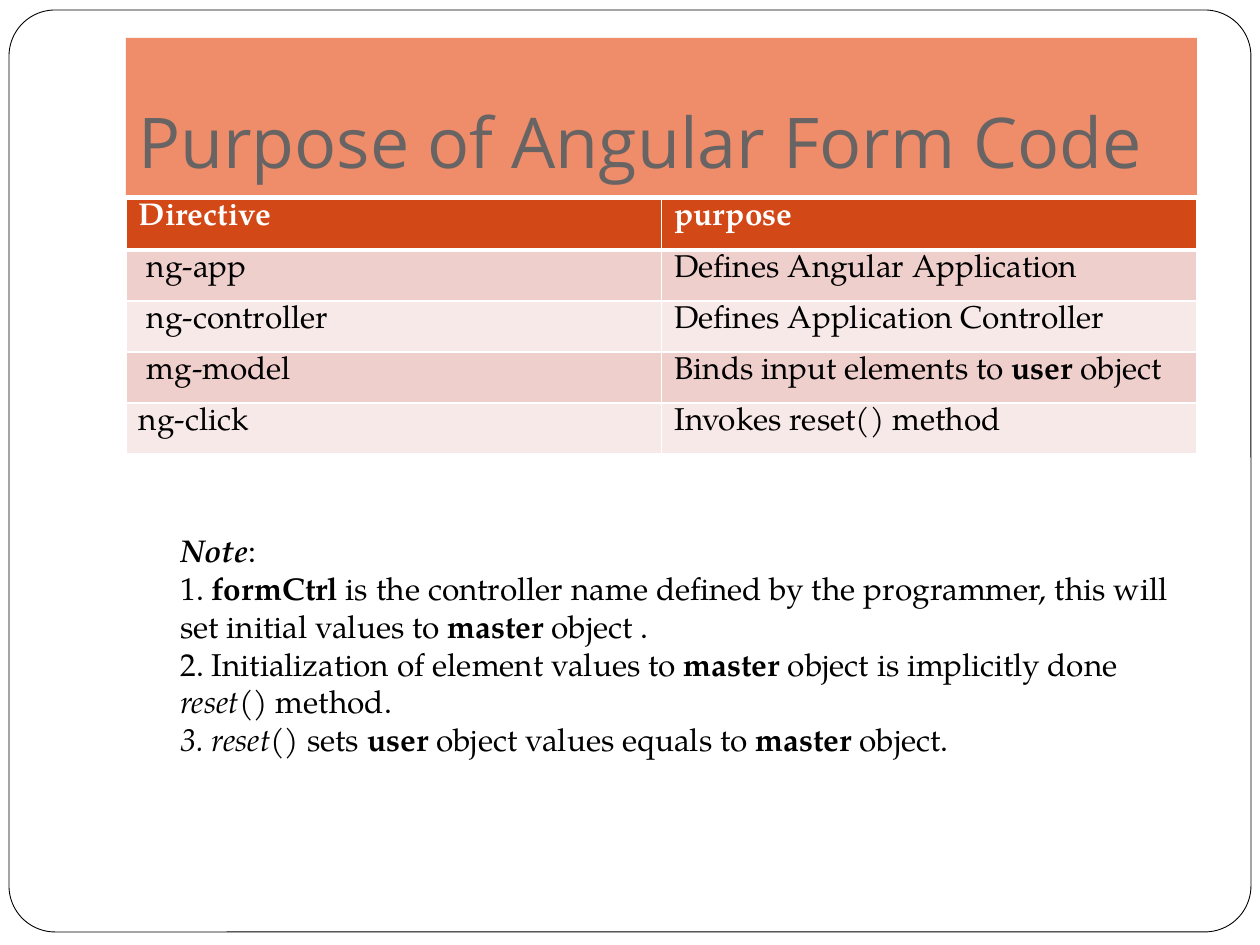
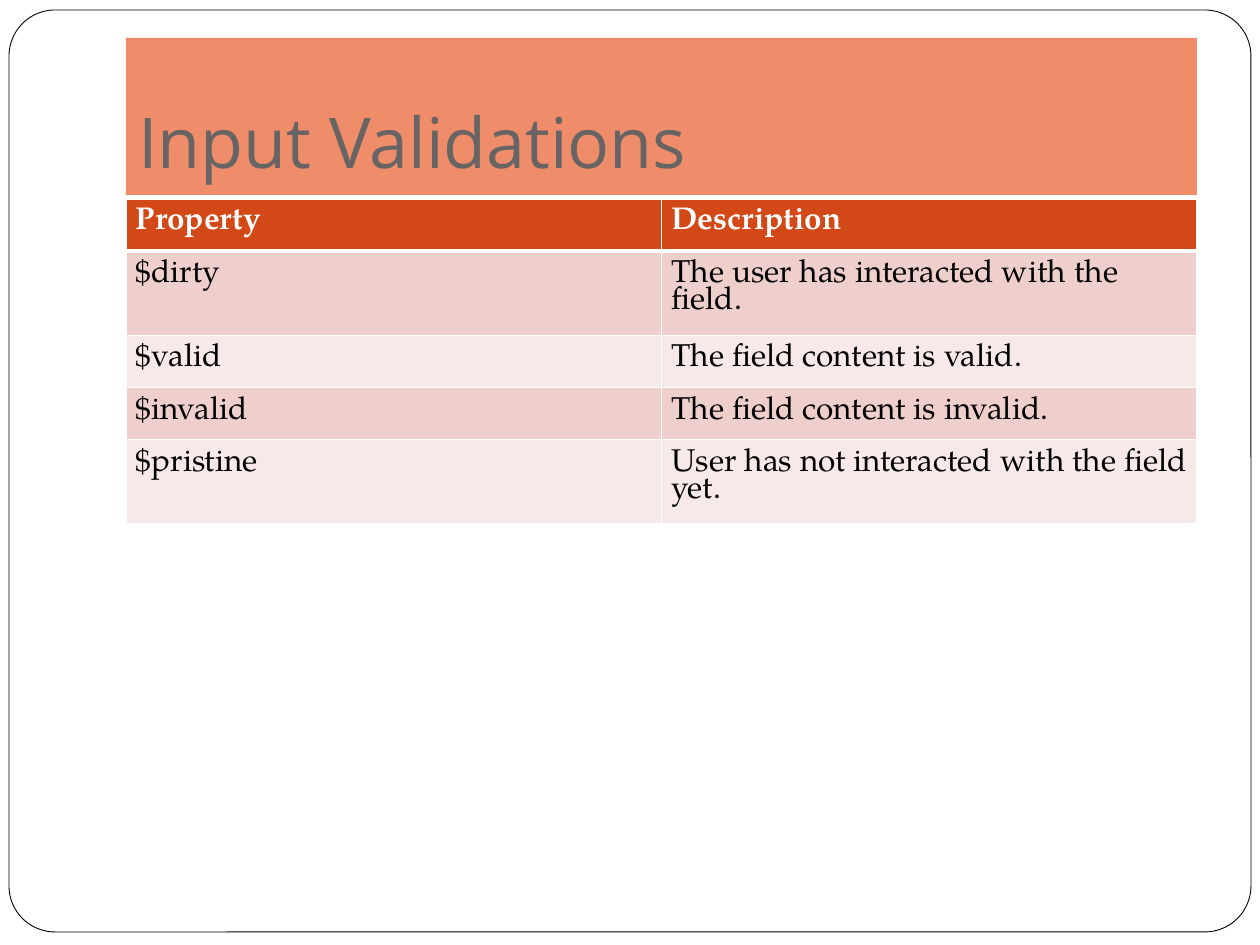
from lxml import etree
from pptx import Presentation
from pptx.dml.color import RGBColor
from pptx.enum.shapes import MSO_SHAPE as SHAPE
from pptx.enum.text import MSO_ANCHOR as ANCHOR, MSO_AUTO_SIZE as AUTO_SIZE, PP_ALIGN as ALIGN
from pptx.oxml.ns import qn
from pptx.util import Pt

# Shared look: lengths in px, 126 px to the inch
PX = 914400 / 126
BODY_FONT, TITLE_FONT = "TeX Gyre Pagella", "Open Sans"
WHITE, BLACK, TITLE_GREY = "FFFFFF", "000000", "696464"
TITLE_BAND, HEADER_FILL = "EF8C6A", "D34817"
BAND_FILLS = ["EFCFCC", "F7E9E8"]
FRAME_BOX = (9, 10, 1242, 922)
TITLE_BOX = (126, 38, 1071, 157)
TABLE_BOX = (126, 199, 1071, 255)
NOTE_BOX = (168, 525, 1018, 204)
ROW_HEIGHT = 51

# Rich text is a list of (text, style), where style holds "b" and/or "i"
SLIDES = [
    {
        "title": "Purpose of Angular Form Code",
        "margins": {"margin_left": 13, "margin_right": 13, "margin_top": 6, "margin_bottom": 6},
        "rows": [
            ("Directive", "purpose"),
            (" ng-app", "Defines Angular Application"),
            (" ng-controller", "Defines Application Controller"),
            (" mg-model", [("Binds input elements to ", ""), ("user", "b"), (" object", "")]),
            ("ng-click", "Invokes reset() method"),
        ],
        "notes": [
            [("Note", "bi"), (":", "")],
            [("1. ", ""), ("formCtrl", "b"),
             (" is the controller name defined by the programmer, this will set initial values to ", ""),
             ("master", "b"), (" object .", "")],
            [("2. Initialization of element values to ", ""), ("master", "b"),
             (" object is implicitly done ", ""), ("reset()", "i"), (" method.", "")],
            [("3. reset()", "i"), (" sets ", ""), ("user", "b"),
             (" object values equals to ", ""), ("master", "b"), (" object.", "")],
        ],
    },
    {
        "title": "Input Validations",
        "margins": {"margin_left": 10, "margin_right": 10, "margin_top": 10, "margin_bottom": 10},
        "rows": [
            ("Property", "Description"),
            ("$dirty", "The user has interacted with the field."),
            ("$valid", "The field content is valid."),
            ("$invalid", "The field content is invalid."),
            ("$pristine", "User has not interacted with the field yet."),
        ],
        "notes": [],
    },
]


def px(*lengths):
    return [round(length * PX) for length in lengths]


def write_runs(paragraph, runs, color=BLACK, size=18, name=BODY_FONT):
    paragraph.alignment = ALIGN.LEFT
    for text, style in runs:
        run = paragraph.add_run()
        run.text = text
        font_format = {"name": name, "size": Pt(size), "bold": "b" in style, "italic": "i" in style}
        for key, value in font_format.items():
            setattr(run.font, key, value)
        run.font.color.rgb = RGBColor.from_string(color)


presentation = Presentation()
presentation.slide_width, presentation.slide_height = px(1260, 945)

for content in SLIDES:
    slide = presentation.slides.add_slide(presentation.slide_layouts[6])

    # Rounded page frame and title band
    frame = slide.shapes.add_shape(SHAPE.ROUNDED_RECTANGLE, *px(*FRAME_BOX))
    frame.adjustments[0] = 0.05
    frame.line.color.rgb = RGBColor.from_string(BLACK)
    frame.line.width = Pt(0.5)
    band = slide.shapes.add_shape(SHAPE.RECTANGLE, *px(*TITLE_BOX))
    band.line.fill.background()
    for shape, fill in ((frame, WHITE), (band, TITLE_BAND)):
        shape.shadow.inherit = False
        shape.fill.solid()
        shape.fill.fore_color.rgb = RGBColor.from_string(fill)
    title_format = {"word_wrap": True, "vertical_anchor": ANCHOR.BOTTOM, "margin_bottom": px(13)[0]}
    for key, value in title_format.items():
        setattr(band.text_frame, key, value)
    write_runs(band.text_frame.paragraphs[0], [(content["title"], "")], TITLE_GREY, 40, TITLE_FONT)

    # Table with a header row and alternating bands
    rows = content["rows"]
    table = slide.shapes.add_table(len(rows), len(rows[0]), *px(*TABLE_BOX)).table
    for row_index, row in enumerate(rows):
        table.rows[row_index].height = px(ROW_HEIGHT)[0]
        is_header = row_index == 0
        fill = HEADER_FILL if is_header else BAND_FILLS[(row_index - 1) % 2]
        borders = {"lnL": 1, "lnR": 1, "lnT": 3 if row_index == 1 else 1, "lnB": 3 if is_header else 1}
        for column_index, value in enumerate(row):
            cell = table.cell(row_index, column_index)
            for side, width in borders.items():
                line = etree.SubElement(cell._tc.get_or_add_tcPr(), qn("a:" + side), w=str(Pt(width)))
                line_fill = etree.SubElement(line, qn("a:solidFill"))
                etree.SubElement(line_fill, qn("a:srgbClr"), val=WHITE)
            cell.fill.solid()
            cell.fill.fore_color.rgb = RGBColor.from_string(fill)
            for key, margin in content["margins"].items():
                setattr(cell, key, px(margin)[0])
            paragraph = cell.text_frame.paragraphs[0]
            paragraph.line_spacing = 0.85
            runs = [(value, "b" if is_header else "")] if isinstance(value, str) else value
            write_runs(paragraph, runs, WHITE if is_header else BLACK)

    # Notes below the table
    if content["notes"]:
        note_frame = slide.shapes.add_textbox(*px(*NOTE_BOX)).text_frame
        note_frame.word_wrap = True
        note_frame.auto_size = AUTO_SIZE.SHAPE_TO_FIT_TEXT
        for index, runs in enumerate(content["notes"]):
            paragraph = note_frame.add_paragraph() if index else note_frame.paragraphs[0]
            write_runs(paragraph, runs)

presentation.save("out.pptx")
